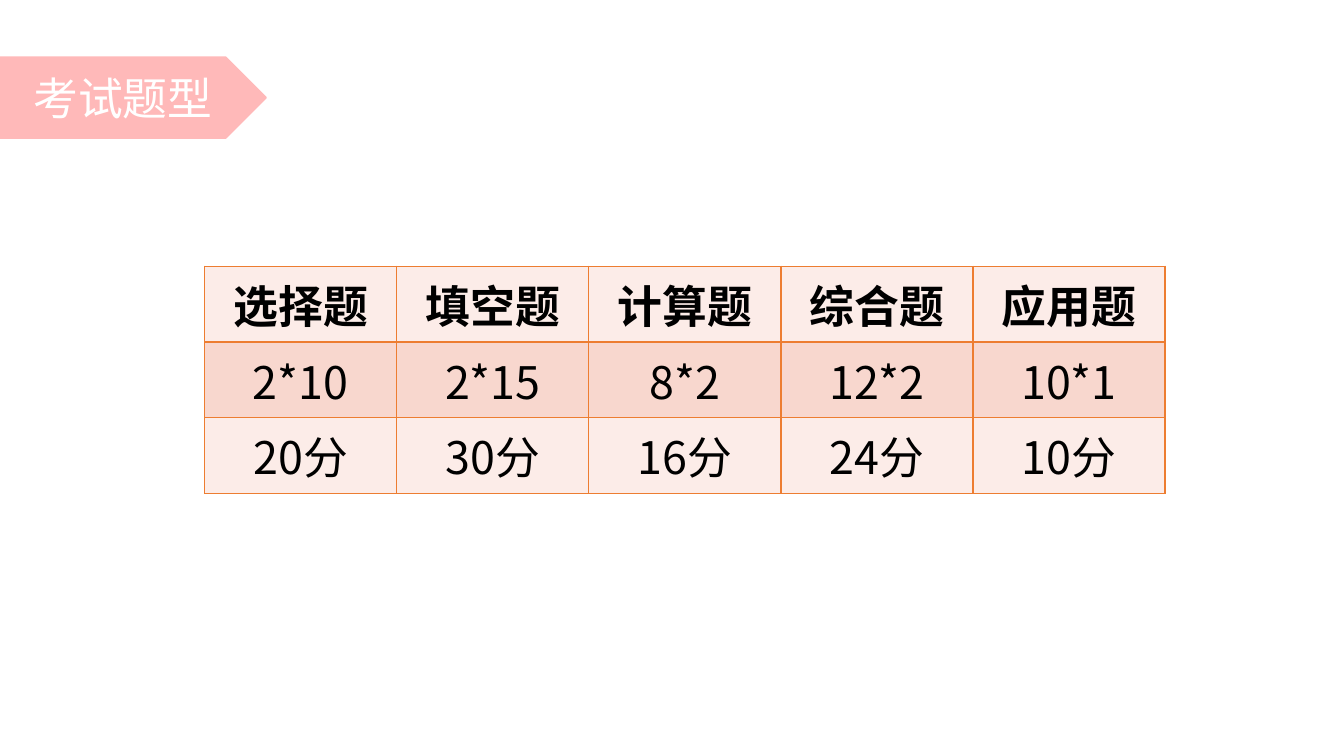
from pptx import Presentation
from pptx.dml.color import RGBColor
from pptx.enum import shapes, text
from pptx.oxml import ns, xmlchemy
from pptx.util import Cm, Pt

PINK = RGBColor(0xFF, 0xB9, 0xB9)
ORANGE = RGBColor(0xED, 0x7D, 0x31)
LIGHT_PEACH = RGBColor(0xFC, 0xEC, 0xE8)
DEEP_PEACH = RGBColor(0xF8, 0xD7, 0xCE)
BLACK = RGBColor(0, 0, 0)
WHITE = RGBColor(0xFF, 0xFF, 0xFF)
FONT = "Noto Sans CJK SC"

QUESTION_TYPES = [
    ["选择题", "填空题", "计算题", "综合题", "应用题"],
    ["2*10", "2*15", "8*2", "12*2", "10*1"],
    ["20分", "30分", "16分", "24分", "10分"],
]
COLUMN_WIDTH = Cm(4.84)
ROW_HEIGHT = Cm(1.91)


def write(frame, words, color, bold=False):
    paragraph = frame.paragraphs[0]
    paragraph.text = words
    paragraph.alignment = text.PP_ALIGN.CENTER
    font = paragraph.font
    font.size, font.bold, font.name = Pt(32), bold, FONT
    font.color.rgb = color
    # Chinese characters take the East Asian typeface
    defaults = paragraph._p.pPr.find(ns.qn("a:defRPr"))
    east_asian = xmlchemy.OxmlElement("a:ea")
    east_asian.set("typeface", FONT)
    defaults.append(east_asian)


def add_borders(cell):
    properties = cell._tc.get_or_add_tcPr()
    for side in ("a:lnL", "a:lnR", "a:lnT", "a:lnB"):
        border = xmlchemy.OxmlElement(side)
        border.set("w", str(Pt(1)))
        fill = xmlchemy.OxmlElement("a:solidFill")
        color = xmlchemy.OxmlElement("a:srgbClr")
        color.set("val", str(ORANGE))
        fill.append(color)
        border.append(fill)
        properties.append(border)


def add_score_table(slide):
    row_count, column_count = len(QUESTION_TYPES), len(QUESTION_TYPES[0])
    scores = slide.shapes.add_table(
        row_count, column_count, Cm(5.16), Cm(6.71),
        COLUMN_WIDTH * column_count, ROW_HEIGHT * row_count).table
    scores.first_row = scores.horz_banding = False
    for column in scores.columns:
        column.width = COLUMN_WIDTH
    for row, entries in enumerate(QUESTION_TYPES):
        scores.rows[row].height = ROW_HEIGHT
        for column, entry in enumerate(entries):
            cell = scores.cell(row, column)
            add_borders(cell)
            cell.fill.solid()
            cell.fill.fore_color.rgb = DEEP_PEACH if row % 2 else LIGHT_PEACH
            write(cell.text_frame, entry, BLACK, bold=row == 0)


def add_title_tag(slide, words):
    tag = slide.shapes.add_shape(
        shapes.MSO_SHAPE.PENTAGON, 0, Cm(1.44), Cm(6.71), Cm(2.04))
    tag.shadow.inherit = False
    tag.fill.solid()
    tag.fill.fore_color.rgb = PINK
    tag.line.color.rgb = PINK
    tag.line.width = Pt(1)
    tag.text_frame.vertical_anchor = text.MSO_ANCHOR.MIDDLE
    write(tag.text_frame, words, WHITE)


def main():
    deck = Presentation()
    deck.slide_width, deck.slide_height = Cm(33.87), Cm(19.05)
    slide = deck.slides.add_slide(deck.slide_layouts[6])

    # Question types with their points
    add_score_table(slide)

    # Title tag at the left edge
    add_title_tag(slide, "考试题型")

    deck.save("out.pptx")


if __name__ == "__main__":
    main()
